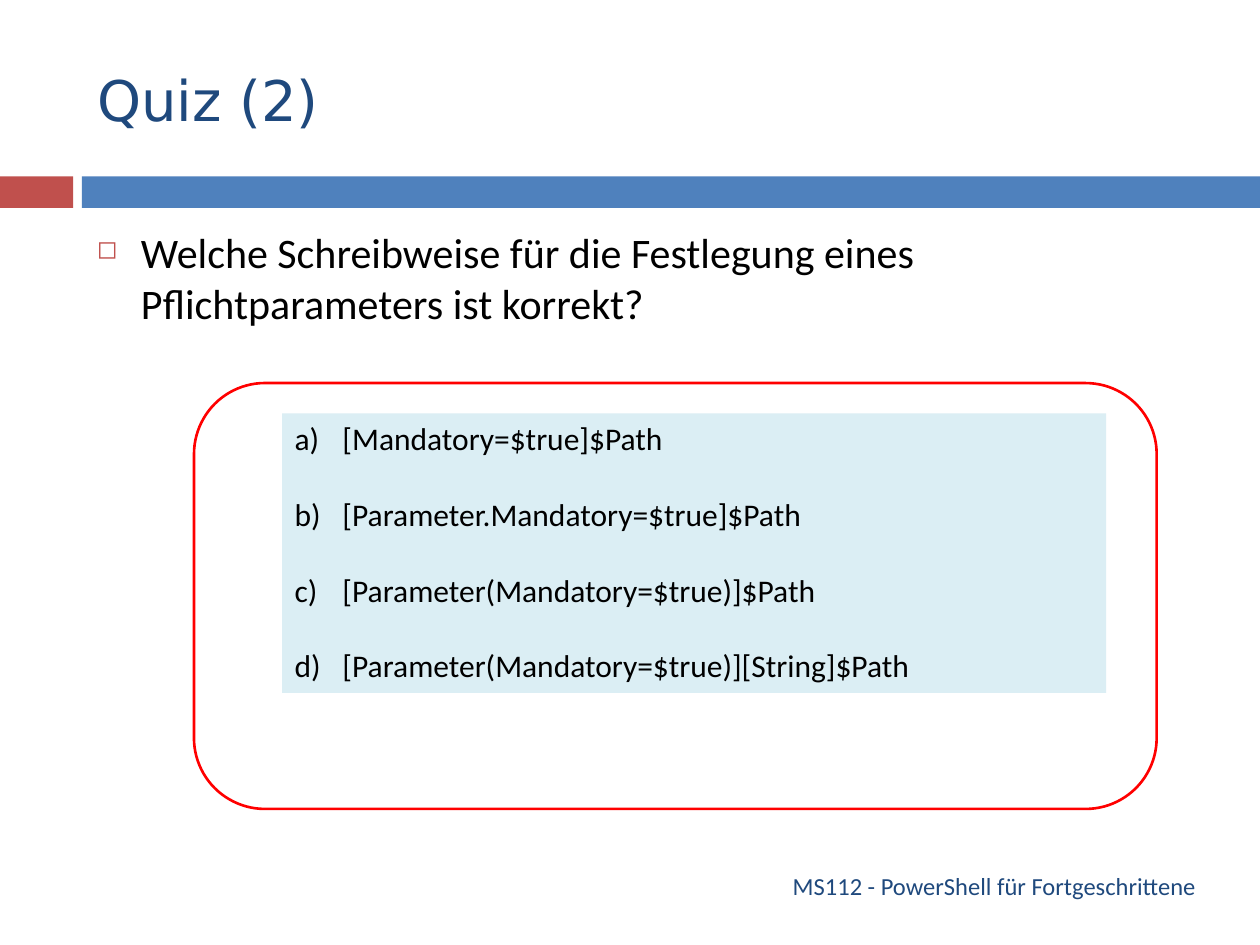
from dataclasses import dataclass

from lxml import etree
from pptx import Presentation
from pptx.dml.color import RGBColor
from pptx.enum.shapes import MSO_SHAPE
from pptx.enum.text import MSO_ANCHOR, PP_ALIGN
from pptx.oxml.ns import qn
from pptx.util import Emu, Inches, Pt

RECTANGLE = MSO_SHAPE.RECTANGLE
ROUNDED_RECTANGLE = MSO_SHAPE.ROUNDED_RECTANGLE
MIDDLE = MSO_ANCHOR.MIDDLE
LEFT, RIGHT = PP_ALIGN.LEFT, PP_ALIGN.RIGHT

COLORS = {
    "red": "C0504D",
    "blue": "4F81BD",
    "navy": "1F497D",
    "black": "000000",
    "frame": "FF0000",
    "panel": "DBEEF4",
}
BODY_FONT = "Calibri"
TITLE_FONT = "DejaVu Sans"

SLIDE_WIDTH, SLIDE_HEIGHT = Inches(10), Inches(7.5)
COLUMN = SLIDE_WIDTH / 100
ROW = SLIDE_HEIGHT / 75


@dataclass(frozen=True)
class Area:
    """A rectangle in columns and rows of the slide grid."""
    column: float
    row: float
    columns: float
    rows: float

    def lengths(self) -> tuple:
        return tuple(Emu(round(length)) for length in (
            self.column * COLUMN, self.row * ROW,
            self.columns * COLUMN, self.rows * ROW))


@dataclass(frozen=True)
class Panel:
    area: Area
    kind: int
    fill: str | None = None
    line: str | None = None


CONTENT_LEFT, CONTENT_COLUMNS = 6.7, 89.2
TITLE_AREA = Area(CONTENT_LEFT, 2.5, CONTENT_COLUMNS, 10.8)
QUESTION_AREA = Area(CONTENT_LEFT, 17.5, CONTENT_COLUMNS, 49.2)
FOOTER_AREA = Area(CONTENT_LEFT, 68.3, CONTENT_COLUMNS, 4)

BANDS = [
    Panel(Area(0, 14, 5.8, 2.5), RECTANGLE, fill="red"),
    Panel(Area(6.5, 14, 93.5, 2.5), RECTANGLE, fill="blue"),
]
FRAME = Panel(Area(15.4, 30.4, 76.4, 33.8), ROUNDED_RECTANGLE, line="frame")
ANSWER_PANEL = Panel(Area(22.4, 32.8, 65.4, 22.2), RECTANGLE, fill="panel")

QUESTION = "Welche Schreibweise für die Festlegung eines Pflichtparameters ist korrekt?"
ANSWERS = [
    "[Mandatory=$true]$Path",
    "[Parameter.Mandatory=$true]$Path",
    "[Parameter(Mandatory=$true)]$Path",
    "[Parameter(Mandatory=$true)][String]$Path",
]


def color(name: str) -> RGBColor:
    return RGBColor.from_string(COLORS[name])


def add_panel(slide, panel: Panel):
    shape = slide.shapes.add_shape(panel.kind, *panel.area.lengths())
    shape.shadow.inherit = False
    if panel.fill:
        shape.fill.solid()
        shape.fill.fore_color.rgb = color(panel.fill)
    else:
        shape.fill.background()
    if panel.line:
        shape.line.color.rgb = color(panel.line)
        shape.line.width = Pt(1.5)
    else:
        shape.line.fill.background()
    return shape


def add_text_box(slide, area: Area, text: str):
    text_box = slide.shapes.add_textbox(*area.lengths())
    text_box.text_frame.word_wrap = True
    text_box.text_frame.text = text
    return text_box


def format_paragraph(paragraph, size: float, color_name: str,
                     font_name: str = BODY_FONT, alignment=LEFT) -> None:
    paragraph.alignment = alignment
    for run in paragraph.runs:
        run.font.name = font_name
        run.font.size = Pt(size)
        run.font.color.rgb = color(color_name)


def hanging_indent(paragraph, inches: float):
    properties = paragraph._p.get_or_add_pPr()
    properties.set("marL", str(Inches(inches)))
    properties.set("indent", str(-Inches(inches)))
    return properties


def add_square_bullet(paragraph) -> None:
    properties = hanging_indent(paragraph, 0.35)
    bullet_color = etree.SubElement(properties, qn("a:buClr"))
    etree.SubElement(bullet_color, qn("a:srgbClr"), val=COLORS["red"])
    etree.SubElement(properties, qn("a:buSzPct"), val="60000")
    etree.SubElement(properties, qn("a:buChar"), char="◻")


def add_letter_numbering(paragraph) -> None:
    properties = hanging_indent(paragraph, 0.38)
    etree.SubElement(properties, qn("a:buAutoNum"), type="alphaLcParenR")


def add_title(slide, text: str) -> None:
    title = slide.shapes.title
    title.left, title.top, title.width, title.height = TITLE_AREA.lengths()
    title.text_frame.text = text
    title.text_frame.vertical_anchor = MIDDLE
    format_paragraph(title.text_frame.paragraphs[0], 32, "navy", TITLE_FONT)


def add_answers(slide) -> None:
    text_frame = add_panel(slide, ANSWER_PANEL).text_frame
    text_frame.word_wrap = True
    text_frame.vertical_anchor = MSO_ANCHOR.TOP
    text_frame.text = "\n".join(ANSWERS)
    for index, paragraph in enumerate(text_frame.paragraphs):
        format_paragraph(paragraph, 18, "black")
        if index:
            paragraph.space_before = Pt(21.6)
        add_letter_numbering(paragraph)


def main() -> None:
    presentation = Presentation()
    presentation.slide_width = SLIDE_WIDTH
    presentation.slide_height = SLIDE_HEIGHT
    slide = presentation.slides.add_slide(presentation.slide_layouts[5])

    for band in BANDS:
        add_panel(slide, band)
    add_title(slide, "Quiz (2)")

    footer = add_text_box(slide, FOOTER_AREA, "MS112 - PowerShell für Fortgeschrittene")
    footer.text_frame.vertical_anchor = MIDDLE
    format_paragraph(footer.text_frame.paragraphs[0], 14, "navy", alignment=RIGHT)

    question = add_text_box(slide, QUESTION_AREA, QUESTION).text_frame.paragraphs[0]
    format_paragraph(question, 24, "black")
    add_square_bullet(question)

    add_panel(slide, FRAME)
    add_answers(slide)
    presentation.save("out.pptx")


if __name__ == "__main__":
    main()
